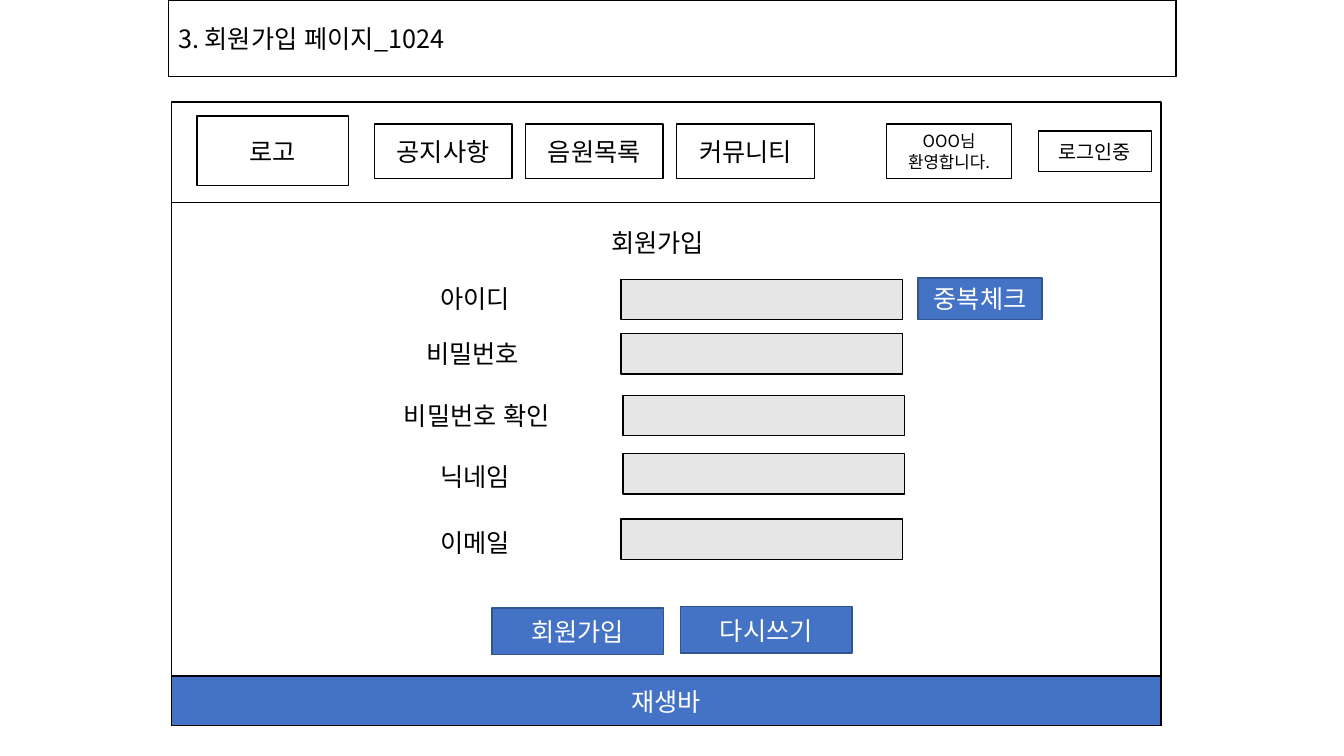
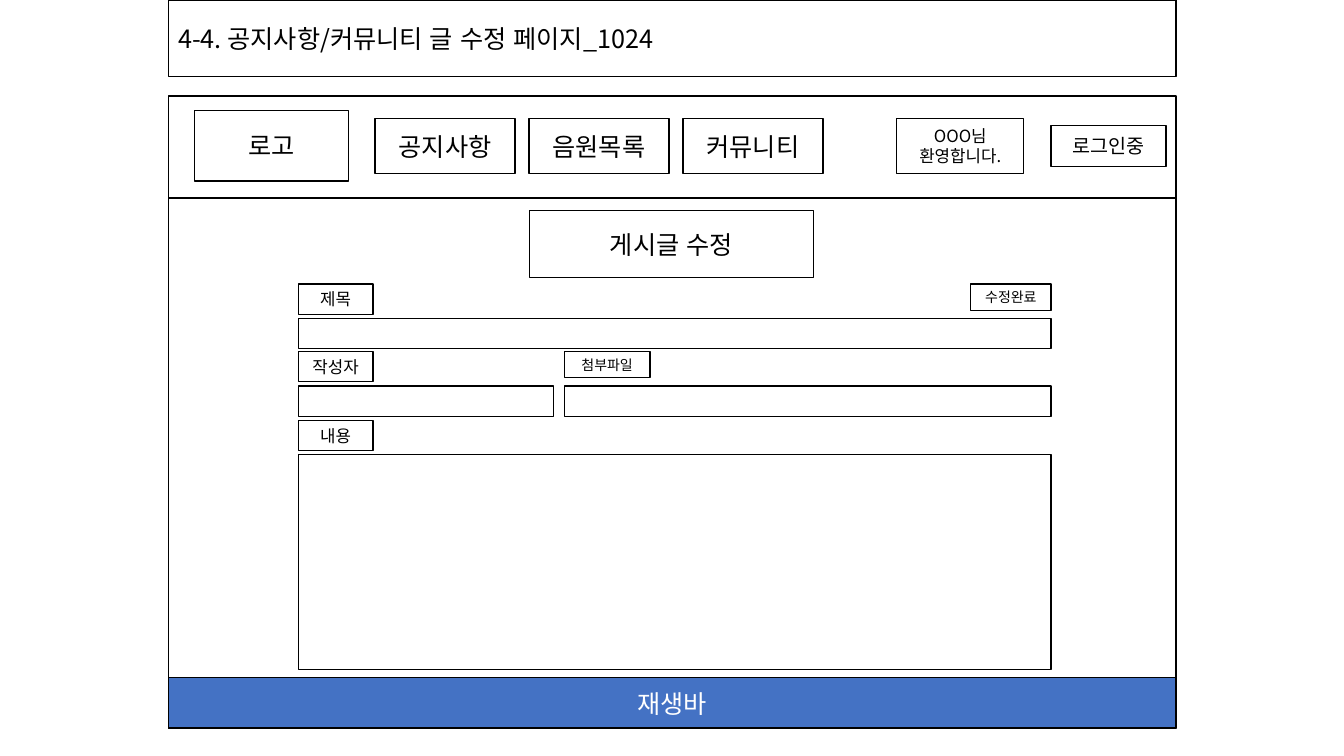
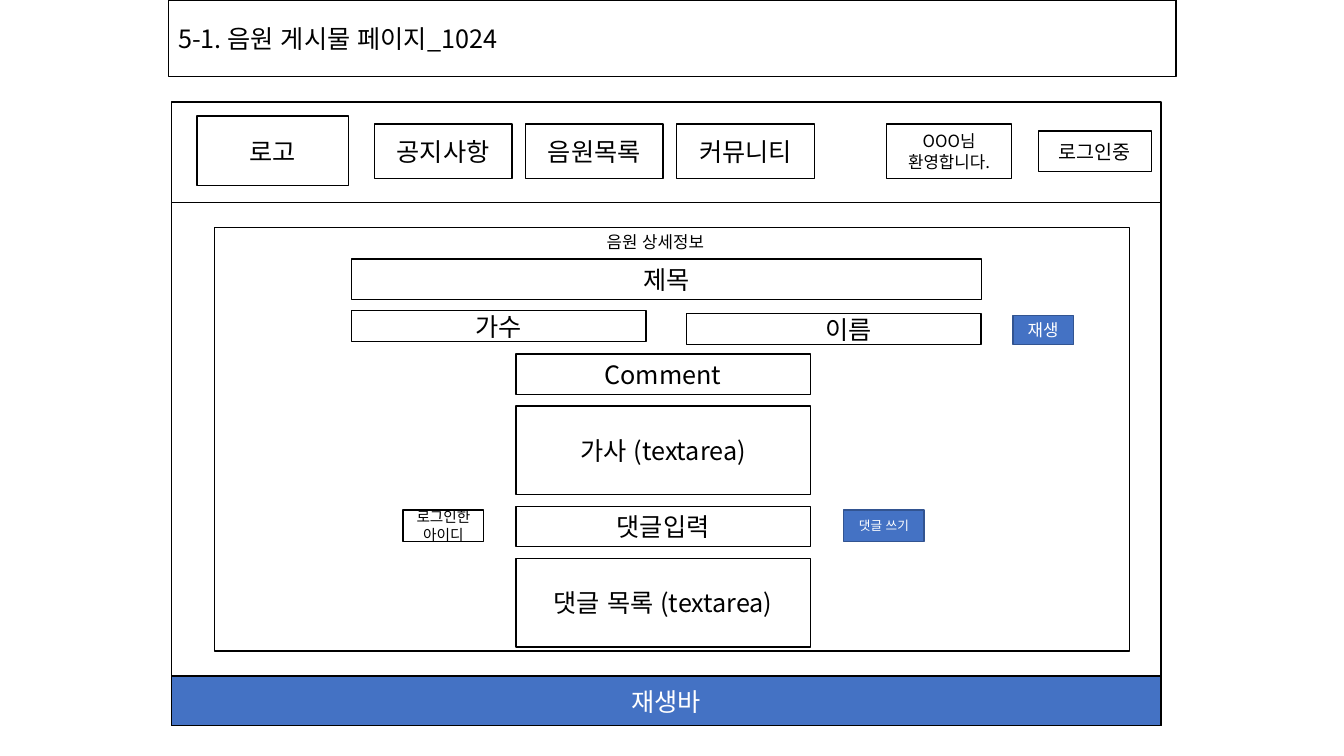
from pptx import Presentation
from pptx.dml.color import RGBColor
from pptx.enum.lang import MSO_LANGUAGE_ID as Lang
from pptx.enum.shapes import MSO_SHAPE as Shape
from pptx.enum.text import MSO_ANCHOR as Anchor, MSO_AUTO_SIZE as AutoSize, PP_ALIGN as Align
from pptx.oxml.ns import qn
from pptx.util import Cm, Pt
from lxml.etree import SubElement

FONT = "Noto Sans CJK KR"
BLACK, WHITE, GRAY = "000000", "FFFFFF", "E7E6E6"
BLUE, DARK_BLUE = "4472C4", "325491"
LEFT, WIDTH = 4.24, 25.4  # the 1024 pixel wide area
FRAME_HEIGHT = 15.93


def color(hex_text):
    return RGBColor.from_string(hex_text)


class Wireframe:
    """Holds the deck, its style and the current page; lengths are centimetres."""

    def __init__(self):
        self.deck = Presentation()
        self.deck.slide_width, self.deck.slide_height = Cm(33.87), Cm(19.05)
        self.page = None

    def new_page(self, title):
        self.page = self.deck.slides.add_slide(self.deck.slide_layouts[6])
        self.rect(LEFT, 0, WIDTH, 1.93, title, fill=None, align=Align.LEFT)

    def add_text(self, frame, text, size, ink, align):
        para = frame.paragraphs[0]
        para.alignment = align
        span = para.add_run()
        span.text = text
        font = span.font
        font.name, font.size = FONT, Pt(size)
        font.color.rgb = color(ink)
        font.language_id = Lang.KOREAN
        SubElement(font._element, qn("a:ea")).set("typeface", FONT)

    def rect(self, x, y, w, h, text="", size=18, fill=WHITE, line=BLACK,
             ink=BLACK, align=Align.CENTER, indent=0):
        box = self.page.shapes.add_shape(Shape.RECTANGLE, Cm(x), Cm(y), Cm(w), Cm(h))
        box.shadow.inherit = False
        if fill:
            box.fill.solid()
            box.fill.fore_color.rgb = color(fill)
        else:
            box.fill.background()
        box.line.color.rgb = color(line)
        box.line.width = Pt(1)
        if text:
            frame = box.text_frame
            frame.word_wrap = True
            frame.vertical_anchor = Anchor.MIDDLE
            frame.margin_left = Cm(0.25 + indent)
            self.add_text(frame, text, size, ink, align)

    def button(self, x, y, w, h, text, size=18):
        self.rect(x, y, w, h, text, size, BLUE, DARK_BLUE, WHITE)

    def label(self, x, y, w, h, text, size=18):
        frame = self.page.shapes.add_textbox(Cm(x), Cm(y), Cm(w), Cm(h)).text_frame
        frame.word_wrap = True
        frame.auto_size = AutoSize.SHAPE_TO_FIT_TEXT
        self.add_text(frame, text, size, BLACK, Align.LEFT)

    def site_frame(self, left=4.32, top=2.57, width=24.94, height=15.72):
        """Draw the site's body, header, menu and play bar, scaled to the given area."""
        x_scale, y_scale = width / WIDTH, height / FRAME_HEIGHT

        def part(x, y, w, h, *text, **style):
            self.rect(left + x * x_scale, top + y * y_scale,
                      w * x_scale, h * y_scale, *text, **style)

        part(0, 0.04, WIDTH, FRAME_HEIGHT - 0.04)
        part(0, 0, WIDTH, 2.57)
        part(0.66, 0.36, 3.89, 1.78, "로고")
        for index, name in enumerate(("공지사항", "음원목록", "커뮤니티")):
            part(5.21 + index * 3.88, 0.56, 3.53, 1.4, name)
        part(22.25, 0.74, 2.9, 1.04, "로그인중", 14)
        part(0, 14.66, WIDTH, 1.27, "재생바", fill=BLUE, ink=WHITE)
        part(18.36, 0.56, 3.2, 1.4, "OOO님 환영합니다.", 12)


def sign_up_page(site):
    site.new_page("3. 회원가입 페이지_1024")
    site.site_frame()
    site.label(15.16, 5.61, 3.12, 1.02, "회원가입")
    for name, label_x, label_y, field_x, field_y in (
            ("아이디", 10.85, 7.01, 15.65, 7.04),
            ("비밀번호", 10.49, 8.41, 15.65, 8.41),
            ("비밀번호 확인", 9.93, 9.96, 15.7, 9.96),
            ("닉네임", 10.85, 11.51, 15.7, 11.43),
            ("이메일", 10.85, 13.16, 15.65, 13.08)):
        site.label(label_x, label_y, 4.62, 1.02, name)
        site.rect(field_x, field_y, 7.09, 1.02, fill=GRAY)
    site.button(23.14, 7.01, 3.12, 1.04, "중복체크")
    site.button(12.4, 15.32, 4.32, 1.17, "회원가입")
    site.button(17.15, 15.29, 4.32, 1.17, "다시쓰기")


def edit_post_page(site):
    site.new_page("4-4. 공지사항/커뮤니티 글 수정 페이지_1024")
    site.site_frame(LEFT, 2.42, WIDTH, FRAME_HEIGHT)
    site.rect(13.34, 5.31, 7.16, 1.68, "게시글 수정")
    form_x, form_width, file_x = 7.52, 18.97, 14.22
    for name, label_y, field_y, width, height in (
            ("제목", 7.16, 8.03, form_width, 0.76),
            ("작성자", 8.86, 9.73, 6.43, 0.76),
            ("내용", 10.59, 11.46, form_width, 5.41)):
        site.rect(form_x, label_y, 1.88, 0.76, name, 12)
        site.rect(form_x, field_y, width, height)
    site.rect(24.46, 7.16, 2.03, 0.66, "수정완료", 10)
    site.rect(file_x, 8.86, 2.16, 0.66, "첨부파일", 10)
    site.rect(file_x, 9.73, form_x + form_width - file_x, 0.76)


def track_page(site):
    site.new_page("5-1. 음원 게시물 페이지_1024")
    site.site_frame()
    site.rect(5.41, 5.74, 23.06, 10.67)
    site.label(15.04, 5.72, 3.35, 0.76, "음원 상세정보", 12)
    site.rect(8.86, 6.53, 15.88, 1.02, "제목")
    site.rect(8.86, 7.82, 7.42, 0.79, "가수")
    site.rect(17.3, 7.9, 7.42, 0.79, "이름", indent=0.76)
    y, gap = 8.92, 0.29
    for name, height in (("Comment", 1.02), ("가사 (textarea)", 2.24),
                         ("댓글입력", 1.02), ("댓글 목록 (textarea)", 2.24)):
        site.rect(13, y, 7.42, height, name)
        y += height + gap
    site.rect(10.16, 12.85, 2.03, 0.79, "로그인한아이디", 10.5)
    site.button(21.26, 12.85, 2.03, 0.79, "댓글 쓰기", 9)
    site.button(25.53, 7.95, 1.52, 0.74, "재생", 12)


def main():
    site = Wireframe()
    sign_up_page(site)
    edit_post_page(site)
    track_page(site)
    site.deck.save("out.pptx")


if __name__ == "__main__":
    main()
